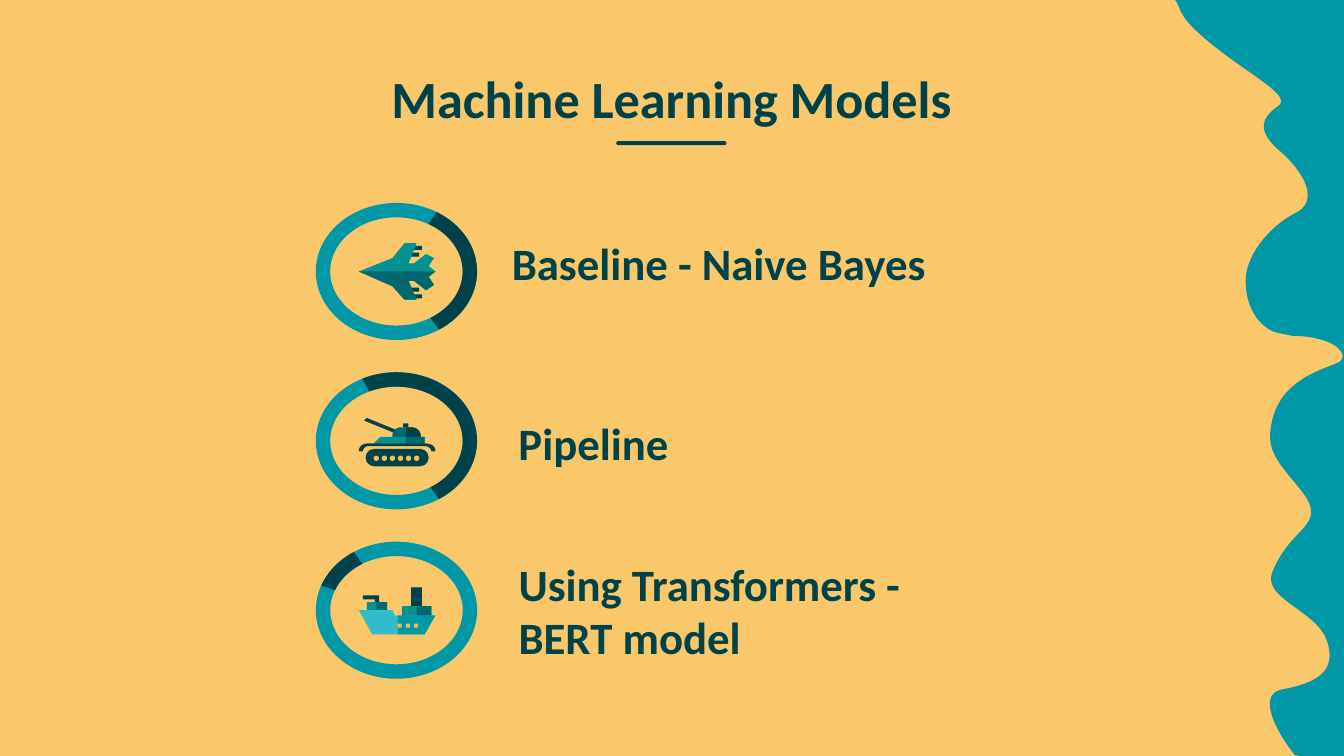
from dataclasses import dataclass

from pptx import Presentation
from pptx.dml.color import RGBColor
from pptx.enum.shapes import MSO_SHAPE as Shape
from pptx.enum.text import MSO_ANCHOR as Anchor, PP_ALIGN as Align
from pptx.util import Inches, Pt


@dataclass(frozen=True)
class Theme:
    """Colours, font and type sizes of the deck."""
    sand: str = "FAC86A"
    ocean: str = "0097A7"
    ink: str = "004249"
    teal: str = "039292"
    shade: str = "01686D"
    sky: str = "32BBC9"
    lamp: str = "FABD4E"
    font: str = "Calibri"
    title: int = 28
    item: int = 24


THEME = Theme()
WIDTH = 10
HEIGHT = WIDTH * 9 / 16
RING_WIDTH, RING_HEIGHT, RING_PITCH = 1.2, 1.02, 1.26
RING_BAND = 0.105

COAST = [
    (8.91, -0.89), (8.91, -0.89, 8.54, -0.13, 8.86, 0.19),
    (9.18, 0.51, 9.64, 0.7, 9.51, 0.79), (9.38, 0.88, 9.35, 0.98, 9.53, 1.13),
    (9.71, 1.29, 9.81, 1.49, 9.65, 1.58), (9.48, 1.66, 9.29, 1.86, 9.27, 2.06),
    (9.26, 2.22, 9.32, 2.4, 9.48, 2.47), (9.52, 2.48, 9.57, 2.49, 9.62, 2.5),
    (9.73, 2.5, 9.81, 2.52, 9.87, 2.54), (9.97, 2.58, 10.01, 2.64, 9.98, 2.68),
    (9.94, 2.74, 9.47, 2.78, 9.45, 3.24), (9.44, 3.45, 9.71, 3.62, 9.75, 3.77),
    (9.79, 3.93, 9.59, 3.96, 9.47, 4.25), (9.38, 4.45, 9.79, 4.54, 9.87, 4.76),
    (9.95, 4.98, 9.82, 5.08, 9.54, 5.13), (9.26, 5.18, 9.69, 5.76, 9.88, 5.84),
]
JET = [
    (0.66, 0.30), (0.57, 0.41), (0.32, 0.51), (0.57, 0.62), (0.66, 0.72), (0.75, 0.72),
    (0.69, 0.58), (0.73, 0.58), (0.82, 0.65), (0.88, 0.61), (0.84, 0.55), (0.89, 0.51),
    (0.84, 0.47), (0.88, 0.41), (0.82, 0.38), (0.73, 0.45), (0.69, 0.45), (0.75, 0.30),
]
DOME_RIGHT = [(0.78, 0.51), (0.78, 0.47), (0.78, 0.44, 0.75, 0.41, 0.71, 0.41)]
FENDER = [
    (0.39, 0.53), (0.35, 0.53, 0.32, 0.55, 0.32, 0.59), (0.35, 0.59),
    (0.35, 0.57, 0.37, 0.55, 0.39, 0.55), (0.81, 0.55),
    (0.84, 0.55, 0.86, 0.57, 0.86, 0.59), (0.89, 0.59),
    (0.89, 0.55, 0.86, 0.53, 0.81, 0.53),
]


def flatten(outline, steps=20):
    """Turn points and cubic curves into a plain list of points."""
    points = [outline[0]]
    for part in outline[1:]:
        if len(part) == 2:
            points.append(part)
            continue
        knots = [points[-1], part[:2], part[2:4], part[4:]]
        for step in range(1, steps + 1):
            t = step / steps
            weights = ((1 - t) ** 3, 3 * t * (1 - t) ** 2, 3 * t * t * (1 - t), t ** 3)
            points.append(tuple(sum(w * knot[axis] for w, knot in zip(weights, knots))
                                for axis in (0, 1)))
    return points


def paint(shape, colour):
    """Give a shape a flat fill with no outline or shadow."""
    shape.shadow.inherit = False
    shape.fill.solid()
    shape.fill.fore_color.rgb = RGBColor.from_string(colour)
    shape.line.fill.background()
    return shape


def add_preset(shapes, kind, box, colour, *adjustments):
    """Add a painted preset shape in a box given in inches."""
    shape = paint(shapes.add_shape(kind, *map(Inches, box)), colour)
    for index, value in enumerate(adjustments):
        shape.adjustments[index] = value
    return shape


def add_outline(shapes, origin, outline, colour):
    """Add a painted closed outline drawn from an origin."""
    points = [(Inches(origin[0] + x), Inches(origin[1] + y)) for x, y in flatten(outline)]
    builder = shapes.build_freeform(*points[0])
    builder.add_line_segments(points[1:], close=True)
    return paint(builder.convert_to_shape(), colour)


def add_text(page, box, text, size, align=Align.LEFT, anchor=Anchor.MIDDLE):
    """Add a bold heading in a box."""
    frame = page.shapes.add_textbox(*map(Inches, box)).text_frame
    frame.word_wrap = True
    frame.vertical_anchor = anchor
    frame.margin_left = frame.margin_right = Inches(0.1)
    frame.margin_top = frame.margin_bottom = Inches(0.1)
    para = frame.paragraphs[0]
    para.alignment = align
    span = para.add_run()
    span.text = text
    span.font.name, span.font.size, span.font.bold = THEME.font, Pt(size), True
    span.font.color.rgb = RGBColor.from_string(THEME.ink)


def add_coast(page):
    """Draw the wavy sea along the right edge, cut to the page."""
    edge = [(min(x, WIDTH), min(max(y, 0), HEIGHT)) for x, y in flatten(COAST)]
    add_outline(page.shapes, (0, 0), edge + [(WIDTH, HEIGHT), (WIDTH, 0)], THEME.ocean)


def add_title(page, left, top, width):
    """Place the centred title and the short rule below it."""
    add_text(page, (left, top, width, 0.63), "Machine Learning Models",
             THEME.title, Align.CENTER, Anchor.TOP)
    rule = 0.82
    add_preset(page.shapes, Shape.ROUNDED_RECTANGLE,
               (left + (width - rule) / 2, top + 0.66, rule, 0.03), THEME.ink, 0.5)


def add_ring(page, left, top, start, rotation):
    """Draw a ring whose dark arc begins at the start angle in degrees."""
    shapes = page.shapes.add_group_shape().shapes
    box = (left, top, RING_WIDTH, RING_HEIGHT)
    ring = add_preset(shapes, Shape.DONUT, box, THEME.ocean, RING_BAND)
    arc = add_preset(shapes, Shape.BLOCK_ARC, box, THEME.ink,
                     start * 0.6, 53.71 * 0.6, RING_BAND)
    ring.rotation = arc.rotation = rotation


def add_block(shapes, origin, box, colour, kind=Shape.RECTANGLE, *adjustments):
    """Add a preset shape whose box is measured from an origin."""
    x, y, width, height = box
    add_preset(shapes, kind, (origin[0] + x, origin[1] + y, width, height),
               colour, *adjustments)


def add_jet(shapes, origin):
    """Draw the jet icon inside a ring."""
    for x, y in ((0.72, 0.32), (0.70, 0.37), (0.72, 0.68), (0.70, 0.63)):
        add_block(shapes, origin, (x, y, 0.07, 0.03), THEME.ink)
    add_outline(shapes, origin, JET, THEME.teal)
    add_outline(shapes, origin, JET[2:12], THEME.shade)


def add_tank(shapes, origin):
    """Draw the tank icon inside a ring."""
    add_block(shapes, origin, (0.37, 0.57, 0.47, 0.13), THEME.ink,
              Shape.ROUNDED_RECTANGLE, 0.5)
    for wheel in range(6):
        add_block(shapes, origin, (0.43 + 0.06 * wheel, 0.62, 0.04, 0.04),
                  THEME.lamp, Shape.OVAL)
    barrel = [(0.38, 0.34), (0.36, 0.36), (0.58, 0.45), (0.60, 0.43)]
    dome = [(0.63, 0.41), (0.60, 0.41, 0.57, 0.44, 0.57, 0.47), (0.57, 0.51)]
    hull = [(0.48, 0.48), (0.43, 0.53), (0.81, 0.53), (0.81, 0.48)]
    add_outline(shapes, origin, barrel, THEME.ink)
    add_outline(shapes, origin, dome + DOME_RIGHT, THEME.shade)
    add_outline(shapes, origin, hull, THEME.teal)
    add_block(shapes, origin, (0.65, 0.38, 0.04, 0.03), THEME.ink)
    add_outline(shapes, origin, [(0.67, 0.41), (0.67, 0.51)] + DOME_RIGHT, THEME.ink)
    add_block(shapes, origin, (0.67, 0.48, 0.14, 0.05), THEME.shade)
    add_outline(shapes, origin, FENDER, THEME.ink)


def add_ship(shapes, origin):
    """Draw the ship icon inside a ring."""
    crane = [(0.35, 0.40), (0.35, 0.43), (0.44, 0.43), (0.44, 0.47), (0.47, 0.47), (0.47, 0.40)]
    add_outline(shapes, origin, crane, THEME.ink)
    for box, colour in (((0.38, 0.45, 0.15, 0.09), THEME.teal),
                        ((0.45, 0.45, 0.08, 0.09), THEME.shade),
                        ((0.71, 0.34, 0.08, 0.16), THEME.ink),
                        ((0.64, 0.48, 0.22, 0.10), THEME.teal),
                        ((0.75, 0.48, 0.11, 0.10), THEME.shade)):
        add_block(shapes, origin, box, colour)
    stern = [(0.81, 0.69), (0.89, 0.55)]
    bow = [(0.57, 0.51), (0.32, 0.51), (0.42, 0.69)]
    add_outline(shapes, origin, bow + stern + [(0.59, 0.55)], THEME.sky)
    add_outline(shapes, origin, [(0.61, 0.55), (0.61, 0.69)] + stern, THEME.ocean)
    for window in range(3):
        add_block(shapes, origin, (0.61 + 0.06 * window, 0.61, 0.03, 0.03), THEME.lamp)


def add_models(page, left, top):
    """Stack the three models, each with a ring, an icon and a heading."""
    models = (
        ("Baseline - Naive Bayes", (1.36, 0, 3.94, 0.89), 304.17, 0, add_jet),
        ("Pipeline", (1.41, 0.10, 2.76, 0.84), 241.21, 0, add_tank),
        ("Using Transformers - BERT model", (1.41, 0, 3.45, 1.02), 18.1, 180, add_ship),
    )
    for row, (text, (x, y, width, height), start, rotation, add_icon) in enumerate(models):
        ring_top = top + row * RING_PITCH
        add_ring(page, left, ring_top, start, rotation)
        add_text(page, (left + x, ring_top + y, width, height), text, THEME.item)
        add_icon(page.shapes.add_group_shape().shapes, (left, ring_top))


def main():
    """Build and save the deck."""
    deck = Presentation()
    deck.slide_width, deck.slide_height = Inches(WIDTH), Inches(HEIGHT)
    page = deck.slides.add_slide(deck.slide_layouts[6])
    page.background.fill.solid()
    page.background.fill.fore_color.rgb = RGBColor.from_string(THEME.sand)
    add_coast(page)
    add_title(page, 0.04, 0.39, 9.91)
    add_models(page, 2.35, 1.51)
    deck.save("out.pptx")


if __name__ == "__main__":
    main()
